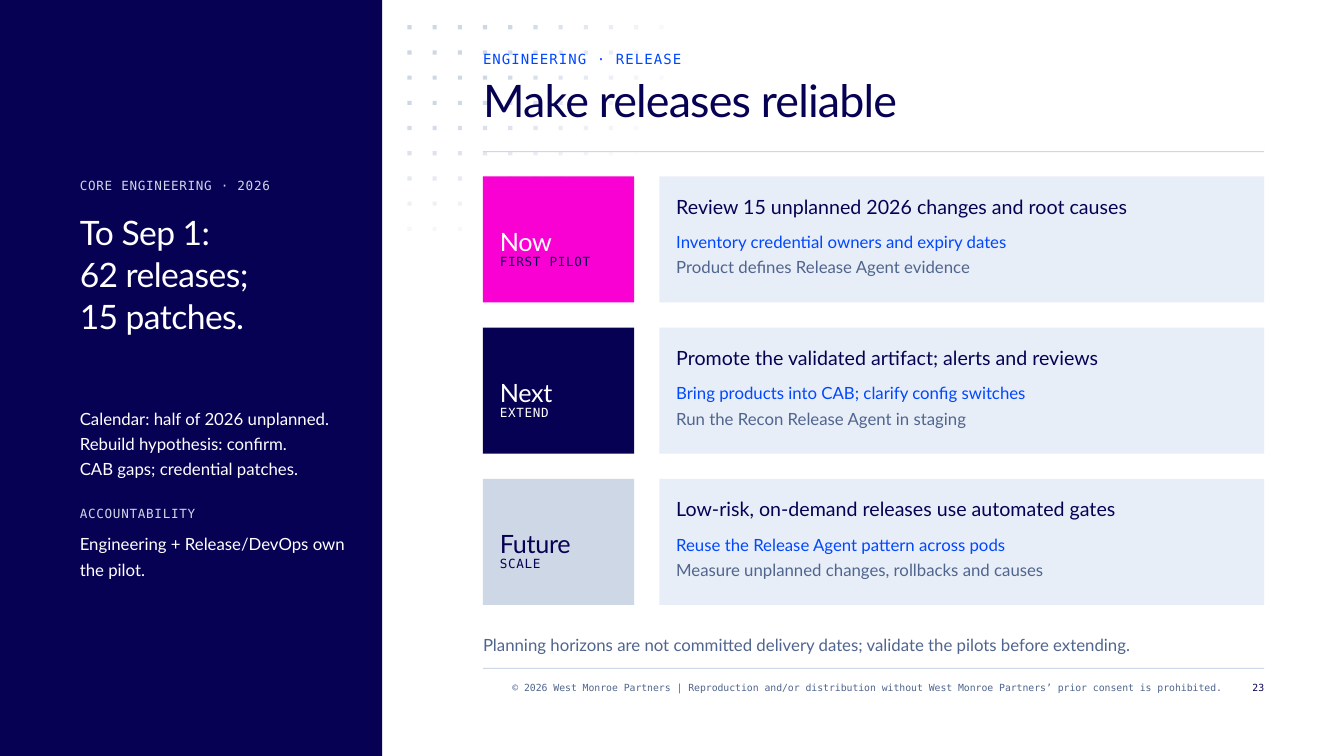
from itertools import product
from math import hypot

from lxml.etree import SubElement
from pptx import Presentation
from pptx.dml.color import RGBColor
from pptx.enum.shapes import MSO_SHAPE as Preset
from pptx.enum.text import MSO_ANCHOR as Anchor, MSO_AUTO_SIZE as AutoSize, PP_ALIGN as Align
from pptx.oxml.ns import qn
from pptx.util import Inches, Pt

NAVY = RGBColor(0x07, 0x01, 0x54)
BLUE = RGBColor(0x00, 0x47, 0xFF)
MAGENTA = RGBColor(0xF9, 0x00, 0xD3)
SLATE = RGBColor(0x50, 0x65, 0x8E)
MIST = RGBColor(0xCE, 0xD7, 0xE6)
PALE = RGBColor(0xE8, 0xEE, 0xF8)
WHITE = RGBColor(0xFF, 0xFF, 0xFF)

SANS = "Lato"
MONO = "DejaVu Sans Mono"

COLUMNS, ROWS = 160, 90
SIDEBAR_LEFT, SIDEBAR_WIDTH = 9.5, 33
MAIN_LEFT, MAIN_WIDTH = 57.5, 93
CARD_LEFT, CARD_TOP, CARD_HEIGHT, CARD_STEP = 78.5, 21, 15, 18
PADDING = 2

HORIZONS = [
    ("Now", "FIRST PILOT", MAGENTA, WHITE, NAVY,
     "Review 15 unplanned 2026 changes and root causes",
     "Inventory credential owners and expiry dates",
     "Product defines Release Agent evidence"),
    ("Next", "EXTEND", NAVY, WHITE, WHITE,
     "Promote the validated artifact; alerts and reviews",
     "Bring products into CAB; clarify config switches",
     "Run the Recon Release Agent in staging"),
    ("Future", "SCALE", MIST, NAVY, NAVY,
     "Low-risk, on-demand releases use automated gates",
     "Reuse the Release Agent pattern across pods",
     "Measure unplanned changes, rollbacks and causes"),
]


def grid(units):
    """Convert columns or rows of the grid to a length."""
    return Inches(units / 12)


def write(shape, text, *, size, color, leading, font=SANS, tracking=0, align=Align.LEFT):
    """Fill a shape with text, one paragraph per line."""
    frame = shape.text_frame
    frame.word_wrap = True
    frame.auto_size = AutoSize.NONE
    frame.vertical_anchor = Anchor.TOP
    frame.margin_left = frame.margin_right = frame.margin_top = frame.margin_bottom = 0
    frame.text = text
    for paragraph in frame.paragraphs:
        paragraph.alignment = align
        paragraph.line_spacing = Pt(leading)
        paragraph.space_before = paragraph.space_after = Pt(0)
        run = paragraph.runs[0]
        run.font.name = font
        run.font.size = Pt(size)
        run.font.color.rgb = color
        if tracking:
            run._r.get_or_add_rPr().set("spc", str(round(tracking * 100)))


class ReleaseSlide:
    """Hold the slide and draw its elements on the grid."""

    def __init__(self, presentation):
        """Add the slide with its title and body placeholders."""
        self.slide = presentation.slides.add_slide(presentation.slide_layouts[1])
        self.shapes = self.slide.shapes

    def block(self, left, top, width, height, color, opacity=100):
        """Draw a plain filled rectangle."""
        shape = self.shapes.add_shape(Preset.RECTANGLE, *map(grid, (left, top, width, height)))
        shape.shadow.inherit = False
        shape.line.fill.background()
        shape.fill.solid()
        shape.fill.fore_color.rgb = color
        if opacity < 100:
            tint = shape._element.spPr.find(qn("a:solidFill"))[0]
            SubElement(tint, qn("a:alpha"), val=str(round(opacity) * 1000))

    def rule(self, top):
        """Draw a hairline across the main column."""
        self.block(MAIN_LEFT, top, MAIN_WIDTH, 0.12, MIST)

    def text(self, left, top, width, height, text, **style):
        """Add a text box."""
        write(self.shapes.add_textbox(*map(grid, (left, top, width, height))), text, **style)

    def label(self, left, top, width, text, color, size=9, tracking=0.5):
        """Add a spaced monospace label."""
        self.text(left, top, width, 2, text, size=size, color=color, leading=12,
                  font=MONO, tracking=tracking)

    def note(self, left, top, width, height, text, color):
        """Add text in the small reading size."""
        self.text(left, top, width, height, text, size=12, color=color, leading=18)

    def footer(self, left, width, text, color):
        """Add a right-aligned footer text."""
        self.text(left, 81, width, 3, text, size=7, color=color, leading=9,
                  font=MONO, align=Align.RIGHT)

    def placeholder(self, index, left, top, width, height, text, **style):
        """Move a placeholder to the front, without bullets, and fill it."""
        shape = self.slide.placeholders[index]
        shape.left, shape.top, shape.width, shape.height = map(grid, (left, top, width, height))
        self.shapes._spTree.append(shape._element)
        write(shape, text, **style)
        for paragraph in shape.text_frame.paragraphs:
            properties = paragraph._p.get_or_add_pPr()
            properties.set("marL", "0")
            properties.set("indent", "0")
            SubElement(properties, qn("a:buNone"))

    def dots(self):
        """Scatter dots that fade out along an ellipse."""
        for column, row in product(range(11), range(9)):
            opacity = 153.5 * (1 - hypot(column / 11.08, row / 9.1))
            behind_cards = column > 3 and row > 6
            if opacity > 0 and not behind_cards:
                self.block(48.5 + 3 * column, 3 + 3 * row, 0.5, 0.5, MIST, min(opacity, 100))

    def horizon(self, top, name, stage, fill, name_color, stage_color, headline, action, detail):
        """Draw one planning horizon: a tile and its card."""
        tile_text = MAIN_LEFT + PADDING
        card_text, card_width = CARD_LEFT + PADDING, 68
        self.block(MAIN_LEFT, top, 18, CARD_HEIGHT, fill)
        self.text(tile_text, top + 5.5, 14, 4, name, size=18, color=name_color,
                  leading=24, tracking=-0.2)
        self.label(tile_text, top + 9, 15, stage, stage_color)
        self.block(CARD_LEFT, top, 72, CARD_HEIGHT, PALE)
        self.text(card_text, top + 1.5, card_width, 3.5, headline, size=14, color=NAVY, leading=21)
        self.note(card_text, top + 6, card_width, 3, action, BLUE)
        self.note(card_text, top + 9, card_width, 3, detail, SLATE)


def main():
    """Build and save the slide."""
    presentation = Presentation()
    presentation.slide_width, presentation.slide_height = grid(COLUMNS), grid(ROWS)
    page = ReleaseSlide(presentation)

    page.block(0, 0, 45.5, ROWS, NAVY)
    page.dots()
    page.rule(18)
    page.rule(79.5)

    page.label(MAIN_LEFT, 6, MAIN_WIDTH, "ENGINEERING · RELEASE", BLUE, size=10, tracking=0.8)
    page.placeholder(0, MAIN_LEFT, 9, MAIN_WIDTH, 9, "Make releases reliable",
                     size=32, color=NAVY, leading=36, tracking=-0.6)

    page.label(SIDEBAR_LEFT, 21, SIDEBAR_WIDTH, "CORE ENGINEERING · 2026", MIST)
    page.text(SIDEBAR_LEFT, 25, SIDEBAR_WIDTH, 15, "To Sep 1:\n62 releases;\n15 patches.",
              size=24, color=WHITE, leading=30, tracking=-0.4)
    page.placeholder(1, SIDEBAR_LEFT, 48, SIDEBAR_WIDTH, 9,
                     "Calendar: half of 2026 unplanned.\nRebuild hypothesis: confirm.\n"
                     "CAB gaps; credential patches.", size=12, color=WHITE, leading=18)
    page.label(SIDEBAR_LEFT, 60, SIDEBAR_WIDTH, "ACCOUNTABILITY", MIST)
    page.note(SIDEBAR_LEFT, 63, SIDEBAR_WIDTH, 6,
              "Engineering + Release/DevOps own the pilot.", WHITE)

    for index, horizon in enumerate(HORIZONS):
        page.horizon(CARD_TOP + index * CARD_STEP, *horizon)

    page.note(MAIN_LEFT, 75, MAIN_WIDTH, 3, "Planning horizons are not committed delivery dates; "
              "validate the pilots before extending.", SLATE)
    page.footer(MAIN_LEFT, 88, "© 2026 West Monroe Partners | Reproduction and/or distribution "
                "without West Monroe Partners’ prior consent is prohibited.", SLATE)
    page.footer(146.5, 4, "23", NAVY)
    presentation.save("out.pptx")


if __name__ == "__main__":
    main()
